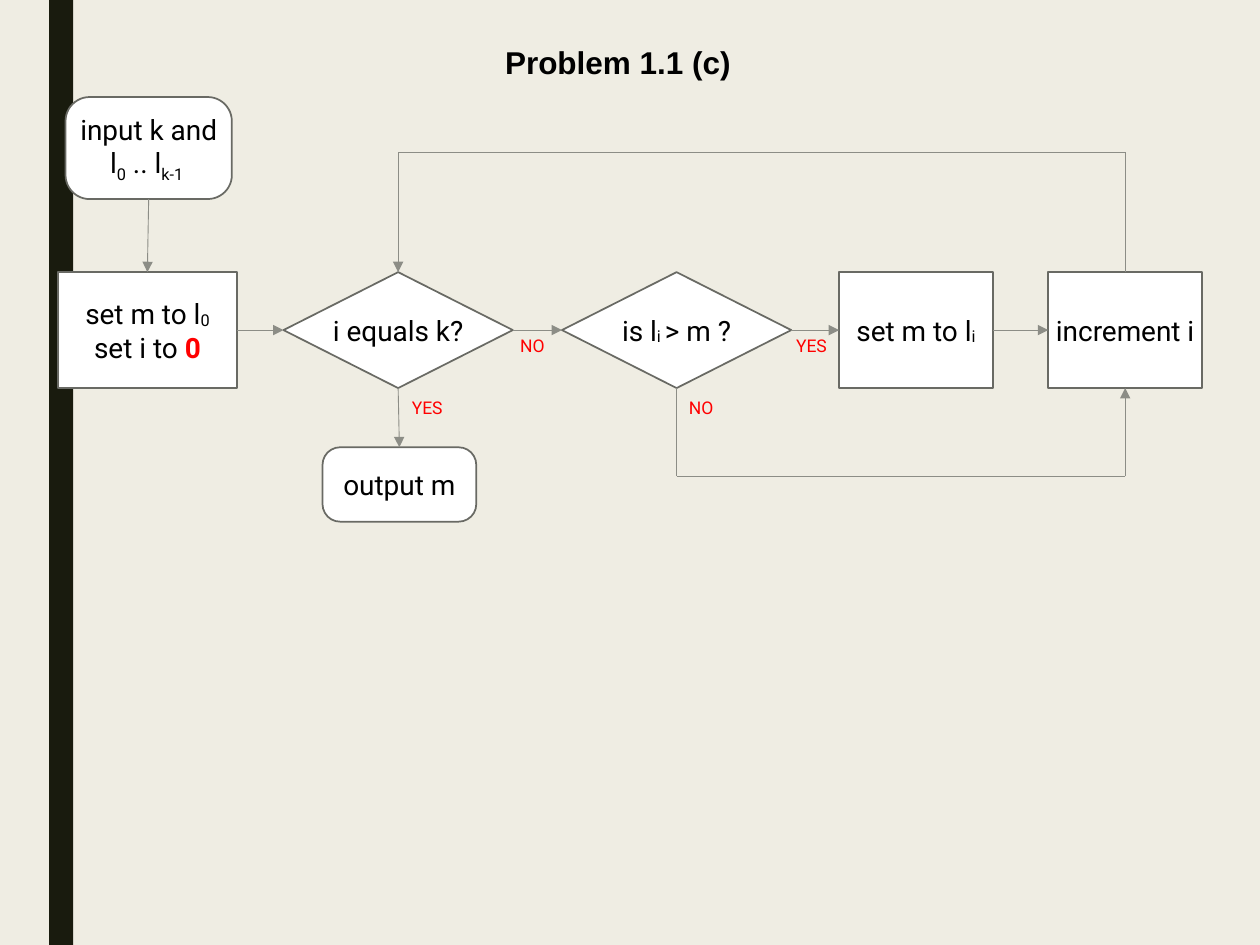
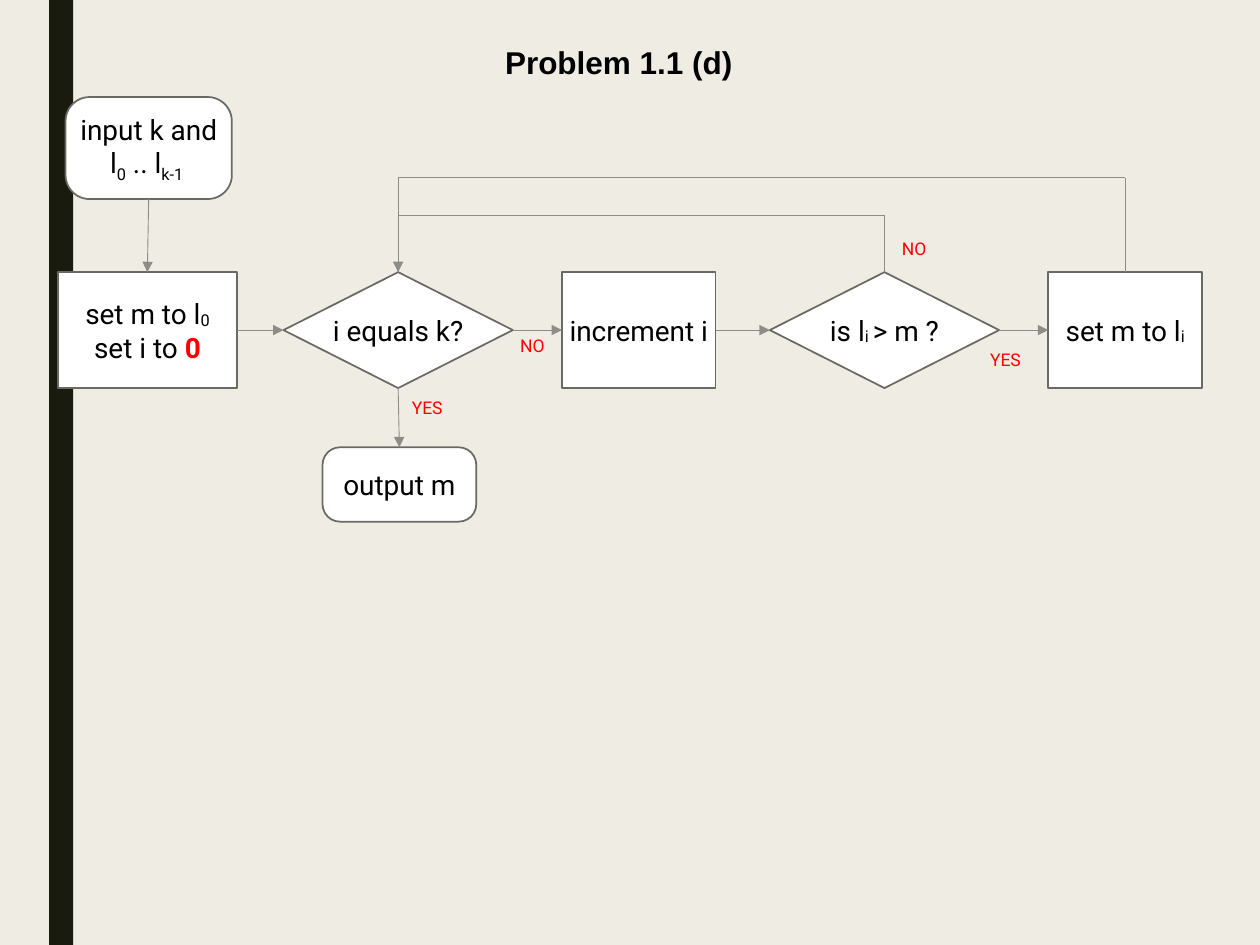
from itertools import pairwise

from lxml.etree import SubElement
from pptx import Presentation
from pptx.dml.color import RGBColor
from pptx.enum.shapes import MSO_CONNECTOR, MSO_SHAPE
from pptx.enum.text import MSO_ANCHOR, PP_ALIGN
from pptx.oxml.ns import qn
from pptx.util import Inches, Pt

PAPER, BAND, WHITE, BLACK = "EFEDE3", "191B0E", "FFFFFF", "000000"
OUTLINE, ARROW, RED = "696A64", "8C8D86", "FF0000"
BODY_FONT, TITLE_FONT = "Roboto", "Arial"
TOP, LEFT, BOTTOM, RIGHT = range(4)
BOX_W, DIAMOND_W, STEP_H = 1.22, 1.82, 0.92
INSET = 0.03
START_X, STEP_Y, LAST_X = 0.46, 2.16, 8.32

INPUT = [["input k and l", ("0", {"base": -25}), " .. l", ("k-1 ", {"base": -25})]]
INIT = [["set m to l", ("0", {"base": -6})],
        ["set i to ", ("0", {"color": RED, "bold": True})]]
COMPARE = [["is l", ("i ", {"base": -6}), "> m ?"]]
ASSIGN = [["set m to l", ("i", {"base": -6})]]
INCREMENT = [["increment i"]]


def rgb(value):
    """Turn a hex string into a colour."""
    return RGBColor.from_string(value)


def format_run(r, size=16, font=BODY_FONT, color=BLACK, bold=False, base=0):
    """Set the font of one run, with base as the baseline shift in percent."""
    r.font.size, r.font.name, r.font.bold = Pt(size), font, bold
    r.font.color.rgb = rgb(color)
    if base:
        r.font._element.set("baseline", str(base * 1000))


def write_text(sp, lines, inset=INSET, align=PP_ALIGN.CENTER,
               anchor=MSO_ANCHOR.MIDDLE, wrap=True, **fmt):
    """Write lines of runs into a shape; a run is a string or (string, format)."""
    tf = sp.text_frame
    tf.word_wrap, tf.vertical_anchor = wrap, anchor
    if inset is not None:
        tf.margin_left = tf.margin_right = Inches(inset)
        tf.margin_top = tf.margin_bottom = Inches(inset)
    for i, line in enumerate(lines):
        p = tf.add_paragraph() if i else tf.paragraphs[0]
        p.alignment = align
        for part in line:
            words, extra = (part, {}) if isinstance(part, str) else part
            r = p.add_run()
            r.text = words
            format_run(r, **{**fmt, **extra})


def add_box(s, kind, x, y, w, h, fill, line=None):
    """Add a flat preset shape."""
    sp = s.shapes.add_shape(kind, Inches(x), Inches(y), Inches(w), Inches(h))
    sp.shadow.inherit = False
    sp.fill.solid()
    sp.fill.fore_color.rgb = rgb(fill)
    if line:
        sp.line.color.rgb, sp.line.width = rgb(line), Pt(1)
    else:
        sp.line.fill.background()
    return sp


def step(s, x, y, lines, w=BOX_W):
    """Add a rectangular process step."""
    sp = add_box(s, MSO_SHAPE.RECTANGLE, x, y, w, STEP_H, WHITE, OUTLINE)
    write_text(sp, lines)
    return sp


def decision(s, x, y, lines):
    """Add a decision diamond."""
    sp = add_box(s, MSO_SHAPE.DIAMOND, x, y, DIAMOND_W, STEP_H, WHITE, OUTLINE)
    write_text(sp, lines, wrap=False)
    return sp


def terminal(s, x, y, w, h, lines):
    """Add a rounded input or output node."""
    sp = add_box(s, MSO_SHAPE.ROUNDED_RECTANGLE, x, y, w, h, WHITE, OUTLINE)
    sp.adjustments[0] = 0.236
    write_text(sp, lines)
    return sp


def label(s, x, y, answer):
    """Add a red YES or NO beside an arrow."""
    w = 0.34 if answer == "YES" else 0.27
    sp = s.shapes.add_textbox(Inches(x), Inches(y), Inches(w), Inches(0.23))
    write_text(sp, [[answer]], wrap=False, size=10, color=RED)


def side(sp, site):
    """Return the midpoint of one side of a node."""
    dx, dy = {TOP: (1, 0), LEFT: (0, 1), BOTTOM: (1, 2), RIGHT: (2, 1)}[site]
    return sp.left + sp.width * dx // 2, sp.top + sp.height * dy // 2


def draw_route(s, points, head=True):
    """Join points with straight connectors, the last one with an arrowhead."""
    lines = []
    for start, end in pairwise(points):
        c = s.shapes.add_connector(MSO_CONNECTOR.STRAIGHT, *start, *end)
        c.line.color.rgb, c.line.width = rgb(ARROW), Pt(0.5)
        SubElement(c._element.spPr, qn("a:effectLst"))
        lines.append(c)
    if head:
        SubElement(lines[-1].line._get_or_add_ln(), qn("a:tailEnd"), type="triangle")
    return lines


def link(s, start, start_site, end, end_site, rail=None):
    """Glue an arrow between two nodes, by way of a horizontal rail if given."""
    a, b = side(start, start_site), side(end, end_site)
    corners = [] if rail is None else [(a[0], Inches(rail)), (b[0], Inches(rail))]
    lines = draw_route(s, [a, *corners, b])
    lines[0].begin_connect(start, start_site)
    lines[-1].end_connect(end, end_site)


def chain(s, *nodes):
    """Link neighbouring nodes from left to right."""
    for a, b in pairwise(nodes):
        link(s, a, RIGHT, b, LEFT)


def add_frame(prs, title):
    """Add a slide with the side band and the title."""
    s = prs.slides.add_slide(prs.slide_layouts[6])
    add_box(s, MSO_SHAPE.RECTANGLE, 0.39, 0, 0.19, 7.5, BAND)
    sp = s.shapes.add_textbox(Inches(3.91), Inches(0.29), Inches(2.01), Inches(0.4))
    write_text(sp, [[title]], inset=None, align=PP_ALIGN.LEFT, anchor=MSO_ANCHOR.TOP,
               wrap=False, size=18, font=TITLE_FONT, bold=True)
    return s


def draw_start(s, x, y):
    """Draw input, setup, loop test and output; return the loop test."""
    source = terminal(s, x + 0.06, y - 1.39, 1.32, 0.81, INPUT)
    init = step(s, x, y, INIT, w=1.42)
    test = decision(s, x + 1.79, y, [["i equals k?"]])
    output = terminal(s, x + 2.1, y + 1.39, BOX_W, 0.59, [["output m"]])
    label(s, x + 2.76, y + 0.96, "YES")
    label(s, x + 3.63, y + 0.47, "NO")
    link(s, source, BOTTOM, init, TOP)
    link(s, test, BOTTOM, output, TOP)
    chain(s, init, test)
    return test


def draw_compare_first(s, x, y, test):
    """Draw the loop body that compares before it increments."""
    compare = decision(s, x, y, COMPARE)
    assign = step(s, x + 2.2, y, ASSIGN)
    increment = step(s, LAST_X, y, INCREMENT)
    label(s, x + 1.81, y + 0.47, "YES")
    label(s, x + 0.97, y + 0.96, "NO")
    chain(s, test, compare, assign, increment)
    link(s, compare, BOTTOM, increment, BOTTOM, rail=y + 1.62)
    link(s, increment, TOP, test, TOP, rail=y - 0.95)


def draw_increment_first(s, x, y, test):
    """Draw the loop body that increments before it compares."""
    increment = step(s, x, y, INCREMENT)
    compare = decision(s, x + 1.65, y, COMPARE)
    assign = step(s, LAST_X, y, ASSIGN)
    label(s, x + 3.35, y + 0.58, "YES")
    label(s, x + 2.66, y - 0.3, "NO")
    chain(s, test, increment, compare, assign)
    link(s, assign, TOP, test, TOP, rail=y - 0.75)
    exit_point, rail = side(compare, TOP), Inches(y - 0.45)
    draw_route(s, [exit_point, (exit_point[0], rail), (side(test, TOP)[0], rail)],
               head=False)


def main():
    """Build both flowchart slides."""
    prs = Presentation()
    prs.slide_width, prs.slide_height = Inches(10), Inches(7.5)
    fill = prs.slide_master.background.fill
    fill.solid()
    fill.fore_color.rgb = rgb(PAPER)
    for title, draw_body in (("Problem 1.1 (c)", draw_compare_first),
                             ("Problem 1.1 (d)", draw_increment_first)):
        s = add_frame(prs, title)
        draw_body(s, 4.46, STEP_Y, draw_start(s, START_X, STEP_Y))
    prs.save("out.pptx")


if __name__ == "__main__":
    main()
